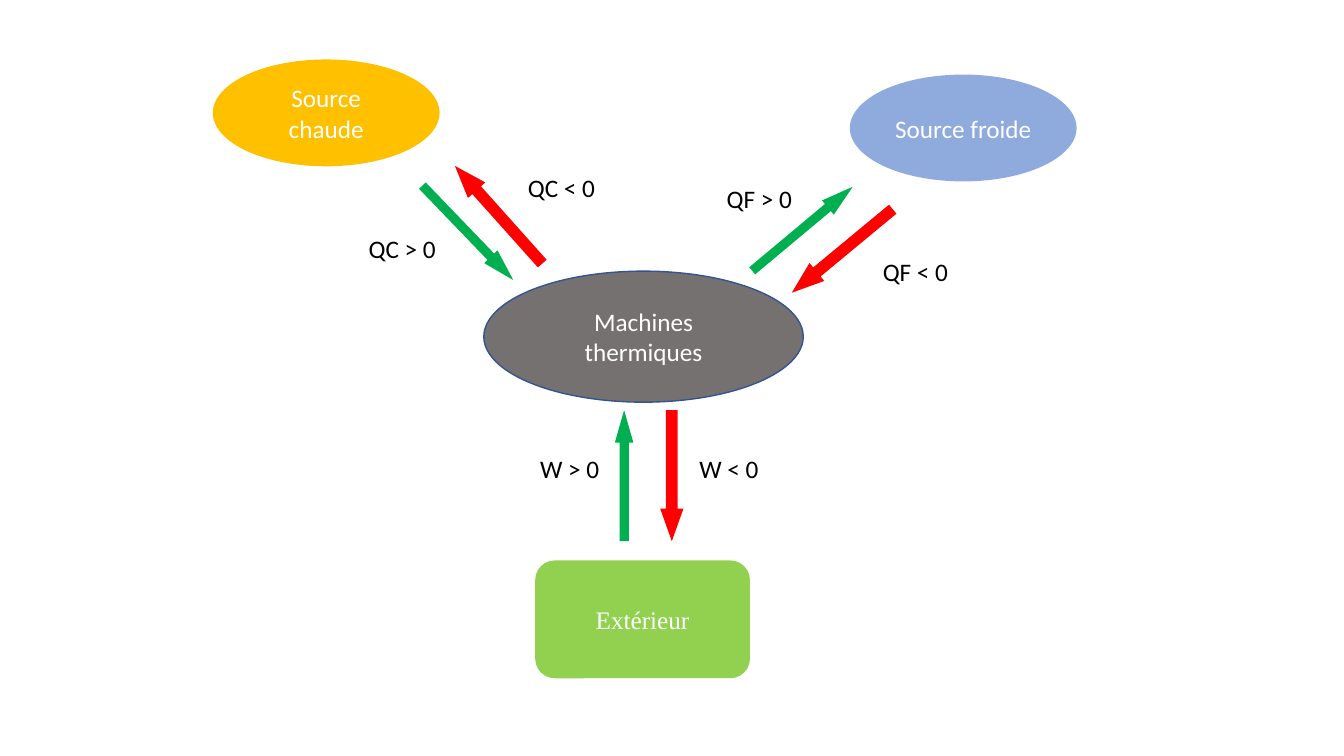
from pptx import Presentation
from pptx.dml.color import RGBColor
from pptx.enum.shapes import MSO_SHAPE
from pptx.enum.text import MSO_ANCHOR, MSO_AUTO_SIZE, PP_ALIGN
from pptx.util import Pt

ELLIPSE = MSO_SHAPE.OVAL
ROUNDED = MSO_SHAPE.ROUNDED_RECTANGLE
DOWN_ARROW = MSO_SHAPE.DOWN_ARROW
CENTER = PP_ALIGN.CENTER
MIDDLE = MSO_ANCHOR.MIDDLE
FIT_SHAPE = MSO_AUTO_SIZE.SHAPE_TO_FIT_TEXT

WHITE, BLACK = "FFFFFF", "000000"
RED, GREEN = "FF0000", "00B050"
ARROW_LENGTH = 93.6
ARROW_STYLES = {  # colour: width, head length relative to width
    RED: (16.6, 1.4),
    GREEN: (13.2, 1.75),
}
SOURCE_SIZE = (162, 76.3)
LABEL_SIZE = (67, 29)


def rgb(color):
    return RGBColor.from_string(color)


def write(tf, text, color, font="Calibri"):
    tf.word_wrap = True
    p = tf.paragraphs[0]
    r = p.add_run()
    r.text = text
    for name, value in {"name": font, "size": Pt(18)}.items():
        setattr(r.font, name, value)
    r.font.color.rgb = rgb(color)
    return p


def add_filled(s, kind, box, fill, line=None):
    sp = s.shapes.add_shape(kind, *map(Pt, box))
    sp.shadow.inherit = False
    sp.fill.solid()
    sp.fill.fore_color.rgb = rgb(fill)
    if line:
        sp.line.color.rgb = rgb(line)
        sp.line.width = Pt(1)
    else:
        sp.line.fill.background()
    return sp


def add_node(s, kind, box, text, fill, line=None, font="Calibri"):
    tf = add_filled(s, kind, box, fill, line).text_frame
    tf.vertical_anchor = MIDDLE
    write(tf, text, WHITE, font).alignment = CENTER


def add_arrow(s, left, top, color, rotation):
    """Add a block arrow that points down before its rotation."""
    width, head = ARROW_STYLES[color]
    sp = add_filled(s, DOWN_ARROW, (left, top, width, ARROW_LENGTH), color)
    sp.adjustments[0] = 0.5
    sp.adjustments[1] = head
    sp.rotation = rotation


def add_label(s, left, top, text):
    sp = s.shapes.add_textbox(Pt(left), Pt(top), *map(Pt, LABEL_SIZE))
    write(sp.text_frame, text, BLACK)
    sp.text_frame.auto_size = FIT_SHAPE


def main():
    prs = Presentation()
    prs.slide_width, prs.slide_height = Pt(960), Pt(540)
    s = prs.slides.add_slide(prs.slide_layouts[6])

    add_node(s, ELLIPSE, (345.6, 193.7, 228.2, 93.6), "Machines thermiques",
             "767171", line="325490")
    add_node(s, ROUNDED, (382.3, 400.3, 153.4, 84.2), "Extérieur",
             "92D050", font="Times New Roman")
    add_node(s, ELLIPSE, (152, 42.5, *SOURCE_SIZE), "Source chaude", "FFC000")
    add_node(s, ELLIPSE, (607, 53.3, *SOURCE_SIZE), "Source froide", "8FAADC")

    for arrow in (
        (471.6, 293, RED, 0),
        (439.2, 293, GREEN, 180),
        (347.8, 106.6, RED, 138.2),
        (327.6, 119.5, GREEN, 316.1),
        (566.6, 116.6, GREEN, 230.1),
        (593.3, 132.5, RED, 50.4),
    ):
        add_arrow(s, *arrow)

    for label in (
        (378.7, 320.4, "W > 0"),
        (492.5, 320.4, "W < 0"),
        (370, 119.5, "QC < 0"),
        (256.3, 163.4, "QC > 0"),
        (623.5, 179.3, "QF < 0"),
        (512, 127.4, "QF > 0"),
    ):
        add_label(s, *label)

    prs.save("out.pptx")


if __name__ == "__main__":
    main()
